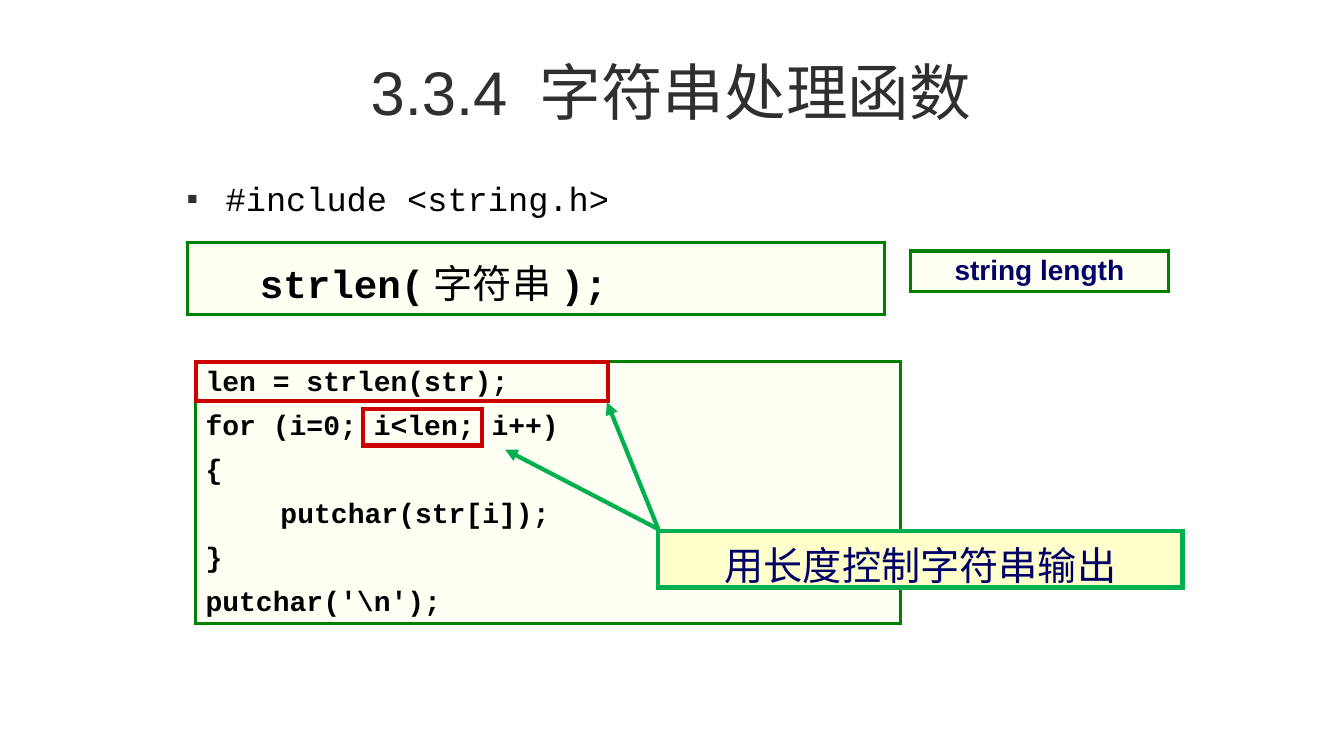
from lxml import etree
from pptx import Presentation
from pptx import util as u
from pptx.dml.color import RGBColor
from pptx.enum import shapes, text
from pptx.oxml import ns

THEME = {
    "dark": "2F2F2F", "black": "000000", "navy": "000066",
    "cream": "FFFFF4", "yellow": "FFFFCC",
    "green": "008000", "bright": "00B050", "red": "CC0000",
    "sans": "Arial", "mono": "Courier New", "cjk": "Noto Sans CJK SC",
    "title": 44, "large": 28, "body": 24, "small": 20,
    "thin": 2.25, "thick": 3,
}

TITLE = "3.3.4 字符串处理函数"
INCLUDE = "#include <string.h>"
CALL = [("strlen(", True), ("字符串", False), (");", True)]
MEANING = "string length"
CODE = [
    "len = strlen(str);",
    "for (i=0; i<len; i++)",
    "{",
    "\t  putchar(str[i]);",
    "}",
    "putchar('\\n');",
]
NOTE = "用长度控制字符串输出"

TITLE_AT = (1.78, 0.28, 9.75, 1.25)
INCLUDE_AT = (1.76, 1.7, 10.02, 0.63)
CALL_AT = (1.86, 2.41, 6.91, 0.71)
MEANING_AT = (9.03, 2.49, 2.56, 0.4)
CODE_AT = (1.94, 3.59, 6.99, 2.6)
MARKS = [(3.6, 4.06, 1.18, 0.36), (1.94, 3.59, 4.09, 0.39)]
NOTE_AT = (6.53, 5.27, 5.2, 0.56)
START = (6.53, 5.25)
TIPS = [(5.01, 4.46), (6.02, 3.99)]


def inches(spot):
    return [u.Inches(n) for n in spot]


def color(name):
    return RGBColor.from_string(THEME[name])


def add(parent, tag, **attrs):
    return etree.SubElement(parent, ns.qn(tag), attrs)


def style(run, size, face, tint, bold=False):
    font = run.font
    font.size, font.name, font.bold = u.Pt(THEME[size]), THEME[face], bold
    font.color.rgb = color(tint)
    add(run.font._element, "a:ea", typeface=THEME["cjk"])


def space(para, line, after=0, before=0, left=0, hang=0):
    para.line_spacing = line
    para.space_before, para.space_after = u.Pt(before), u.Pt(after)
    props = para._p.get_or_add_pPr()
    props.set("marL", str(u.Inches(left)))
    props.set("indent", str(-u.Inches(hang)))


def box(slide, spot, edge, width, fill=None):
    shape = slide.shapes.add_shape(shapes.MSO_SHAPE.RECTANGLE, *inches(spot))
    shape.shadow.inherit = False
    shape.line.color.rgb = color(edge)
    shape.line.width = u.Pt(THEME[width])
    add(shape.line._get_or_add_ln(), "a:miter", lim="800000")
    if fill:
        shape.fill.solid()
        shape.fill.fore_color.rgb = color(fill)
    else:
        shape.fill.background()
    frame = shape.text_frame
    frame.word_wrap = True
    frame.vertical_anchor = text.MSO_ANCHOR.TOP
    frame.paragraphs[0].alignment = text.PP_ALIGN.LEFT
    return frame


def label(frame, words, size, face, tint, line, after, bold):
    frame.text = words
    para = frame.paragraphs[0]
    para.alignment = text.PP_ALIGN.CENTER
    space(para, line, after)
    style(para.runs[0], size, face, tint, bold)


def arrow(slide, tip):
    line = slide.shapes.add_connector(
        shapes.MSO_CONNECTOR.STRAIGHT, *inches(START + tip))
    line.line.color.rgb = color("bright")
    line.line.width = u.Pt(THEME["thick"])
    add(line.line._get_or_add_ln(), "a:tailEnd", type="triangle")
    add(line._element.spPr, "a:effectLst")


def head(slide):
    title = slide.shapes.title
    title.left, title.top, title.width, title.height = inches(TITLE_AT)
    frame = title.text_frame
    frame.text = TITLE
    frame.vertical_anchor = text.MSO_ANCHOR.MIDDLE
    frame.paragraphs[0].alignment = text.PP_ALIGN.CENTER
    style(frame.paragraphs[0].runs[0], "title", "sans", "dark")


def include(slide):
    frame = slide.shapes.add_textbox(*inches(INCLUDE_AT)).text_frame
    frame.word_wrap = True
    frame.text = INCLUDE
    para = frame.paragraphs[0]
    props = para._p.get_or_add_pPr()
    add(add(props, "a:buClr"), "a:srgbClr", val=THEME["dark"])
    add(props, "a:buSzPct", val="50000")
    add(props, "a:buFont", typeface=THEME["sans"])
    add(props, "a:buChar", char="■")
    space(para, 1.05, left=0.38, hang=0.38)
    style(para.runs[0], "body", "mono", "black")


def call(slide):
    para = box(slide, CALL_AT, "green", "thin", "cream").paragraphs[0]
    para.level = 1
    space(para, 1.25, 5.9, left=0.93, hang=0.31)
    for words, bold in CALL:
        run = para.add_run()
        run.text = words
        style(run, "large", "mono", "black", bold)


def code(slide):
    frame = box(slide, CODE_AT, "green", "thin", "cream")
    frame.text = "\n".join(CODE)
    for i, para in enumerate(frame.paragraphs):
        para.alignment = text.PP_ALIGN.LEFT
        space(para, 0.9, 5.9, 4 if i else 0, 0.41, 0.41)
        style(para.runs[0], "small", "mono", "black", True)


def main():
    """Build the string function slide."""
    deck = Presentation()
    deck.slide_width, deck.slide_height = inches((13.33, 7.5))
    slide = deck.slides.add_slide(deck.slide_layouts[5])
    head(slide)
    include(slide)
    call(slide)
    label(box(slide, MEANING_AT, "green", "thin", "cream"),
          MEANING, "small", "sans", "navy", 0.9, 5.9, True)
    code(slide)
    for spot in MARKS:
        box(slide, spot, "red", "thick")
    arrow(slide, TIPS[0])
    label(box(slide, NOTE_AT, "bright", "thick", "yellow"),
          NOTE, "large", "cjk", "navy", 1.1, 6, False)
    arrow(slide, TIPS[1])
    deck.save("out.pptx")


if __name__ == "__main__":
    main()
